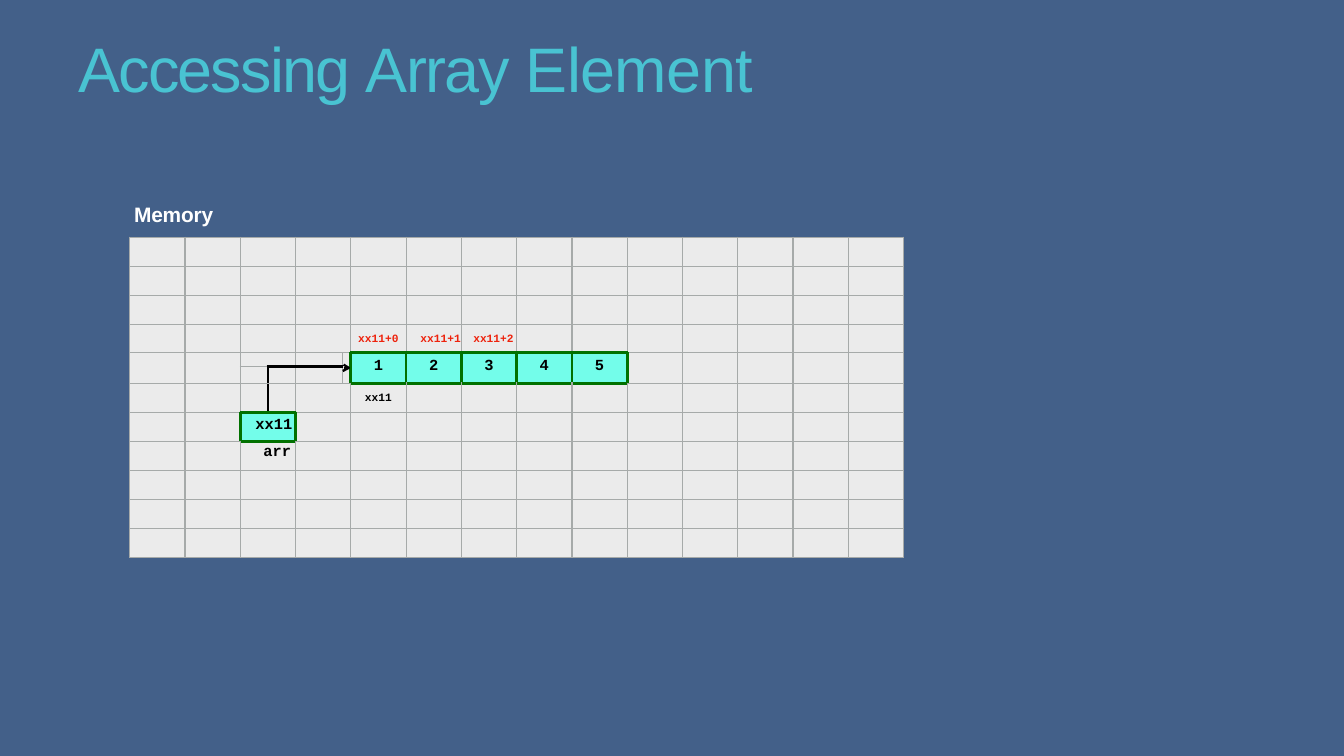
from lxml.etree import SubElement
from pptx import Presentation
from pptx.dml.color import RGBColor
from pptx.enum.text import PP_ALIGN
from pptx.oxml.ns import qn
from pptx.util import Cm, Pt

HUES = {"back": "436089", "title": "49C3D2", "white": "FFFFFF", "cell": "EBEBEB",
        "grid": "A6AAA9", "box": "73FDEA", "edge": "017100", "red": "EE220C",
        "black": "000000"}
UNIT = 19.51 / 14
COLS = [UNIT] * 2 + [UNIT / 2] * 2 + [UNIT - 0.2, 0.2] + [UNIT] * 10
ROWS = [0.73] * 3 + [0.72, 0.35, 0.43, 0.72] + [0.73] * 5
ARRAY = range(6, 11)
MONO = "Courier New"


def hue(name):
    """Return the named colour."""
    return RGBColor.from_string(HUES[name])


def style(font, face, size, tint, bold=False):
    """Set face, size, colour and weight of a font."""
    font.name, font.size, font.bold = face, Pt(size), bold
    font.color.rgb = hue(tint)


def add_label(slide, box, parts, size, tint, bold=False, indent=0):
    """Add one line of text from (words, letter spacing) parts."""
    frame = slide.shapes.add_textbox(*map(Cm, box)).text_frame
    frame.word_wrap = True
    frame.margin_left, frame.margin_top = Cm(indent), Cm(0.03)
    frame.margin_right = frame.margin_bottom = 0
    line = frame.paragraphs[0]
    style(line.font, "Arial", size, tint, bold)
    for words, gap in parts:
        run = line.add_run()
        run.text = words
        run._r.get_or_add_rPr().set("spc", str(gap))


def find_spans():
    """Map the first cell of each merged block to its last cell."""
    spans = {(row, 2): (row, 3) for row in range(12) if row not in (5, 6)}
    spans.update({(row, 4): (row, 5) for row in range(12) if row not in (4, 5)})
    spans.update({(4, col): (5, col) for col in (0, 1, *range(5, 16))})
    return spans


def find_edges():
    """Map grid lines (way, row, column) to colour and width."""
    edges = {}
    for top, left, low, right in [(4, col, 6, col + 1) for col in ARRAY] + [(7, 2, 8, 4)]:
        for col in range(left, right):
            edges["h", top, col] = edges["h", low, col] = ("edge", 2.25)
        for row in range(top, low):
            edges["v", row, left] = edges["v", row, right] = ("edge", 2.25)
    for key in [("h", 5, 3), ("h", 5, 4), ("v", 5, 3), ("v", 6, 3)]:
        edges[key] = ("black", 2.25)
    return edges


def draw_edge(cell, side, tint, width):
    """Draw one border of a cell."""
    line = SubElement(cell._tc.get_or_add_tcPr(), qn("a:ln" + side), w=str(Pt(width)))
    fill = SubElement(line, qn("a:solidFill"))
    SubElement(fill, qn("a:srgbClr"), val=HUES[tint])


def write(cell, words, size=11, tint="black", top=0, indent=None):
    """Write into a cell, centred unless an indent is given."""
    line = cell.text_frame.paragraphs[0]
    line.text = words
    line.alignment = PP_ALIGN.CENTER if indent is None else PP_ALIGN.LEFT
    style(line.font, MONO, size, tint, True)
    cell.margin_top, cell.margin_left = Cm(top), Cm(indent or 0)


def add_memory(slide):
    """Add the memory grid with the array and its pointer."""
    table = slide.shapes.add_table(len(ROWS), len(COLS), Cm(3.27), Cm(5.98),
                                   Cm(sum(COLS)), Cm(sum(ROWS))).table
    table.first_row = table.horz_banding = False
    for col, width in zip(table.columns, COLS):
        col.width = Cm(width)
    for row, height in zip(table.rows, ROWS):
        row.height = Cm(height)
    spans, edges = find_spans(), find_edges()
    for row in range(len(ROWS)):
        for col in range(len(COLS)):
            cell = table.cell(row, col)
            low, right = spans.get((row, col), (row, col))
            sides = {"L": ("v", row, col), "R": ("v", row, right + 1),
                     "T": ("h", row, col), "B": ("h", low + 1, col)}
            for side, key in sides.items():
                draw_edge(cell, side, *edges.get(key, ("grid", 1)))
            full = row in (4, 5) and col in ARRAY or row == 7 and col in (2, 3)
            cell.fill.solid()
            cell.fill.fore_color.rgb = hue("box" if full else "cell")
            cell.margin_left = cell.margin_right = 0
            cell.margin_top = cell.margin_bottom = 0
            cell.text_frame.paragraphs[0].font.size = Pt(6)
    for first, last in spans.items():
        table.cell(*first).merge(table.cell(*last))
    for place, indent in enumerate((None, 0.36, 0.3)):
        write(table.cell(3, 6 + place), f"xx11+{place}", 8, "red", 0.23, indent)
    for place, col in enumerate(ARRAY):
        write(table.cell(4, col), str(place + 1), top=0.13)
    write(table.cell(6, 6), "xx11", 8)
    table.cell(6, 6).text_frame.paragraphs[0].line_spacing = Pt(15.3)
    write(table.cell(7, 2), "xx11", top=0.1, indent=0.38)
    write(table.cell(8, 2), "arr", top=0.05, indent=0.58)


def add_head(slide):
    """Add the open arrowhead at the first array element."""
    tip = (Cm(8.79), Cm(9.27))
    pen = slide.shapes.build_freeform(Cm(8.64), Cm(9.35))
    pen.add_line_segments([tip, (Cm(8.66), Cm(9.19))], close=False)
    pen.move_to(Cm(8.66), Cm(9.27))
    pen.add_line_segments([tip], close=False)
    head = pen.convert_to_shape()
    head.shadow.inherit = False
    head.fill.background()
    head.line.color.rgb = hue("black")
    head.line.width = Pt(1.65)


def main():
    """Build the slide and save it."""
    deck = Presentation()
    deck.slide_width, deck.slide_height = Cm(33.87), Cm(19.05)
    slide = deck.slides.add_slide(deck.slide_layouts[6])
    slide.background.fill.solid()
    slide.background.fill.fore_color.rgb = hue("back")
    add_label(slide, (0.56, 0.71, 19.46, 1.96),
              [("Accessing ", -130), ("Array ", -110), ("Element", -40)],
              44.9, "title", indent=1.42)
    add_label(slide, (3.35, 5.05, 2.11, 0.66), [("Memory", -10)],
              14.9, "white", True, 0.03)
    add_memory(slide)
    add_head(slide)
    deck.save("out.pptx")


if __name__ == "__main__":
    main()
